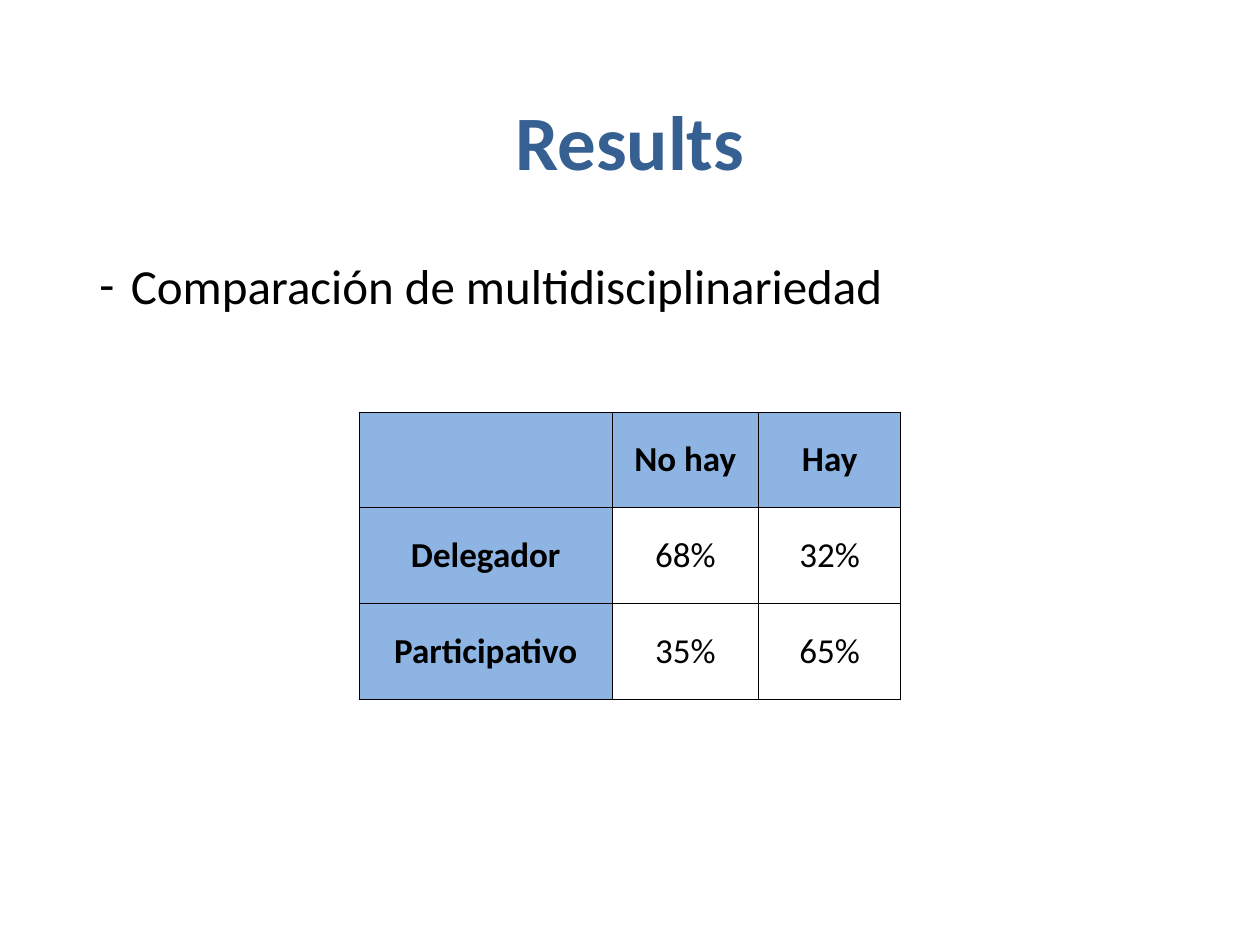
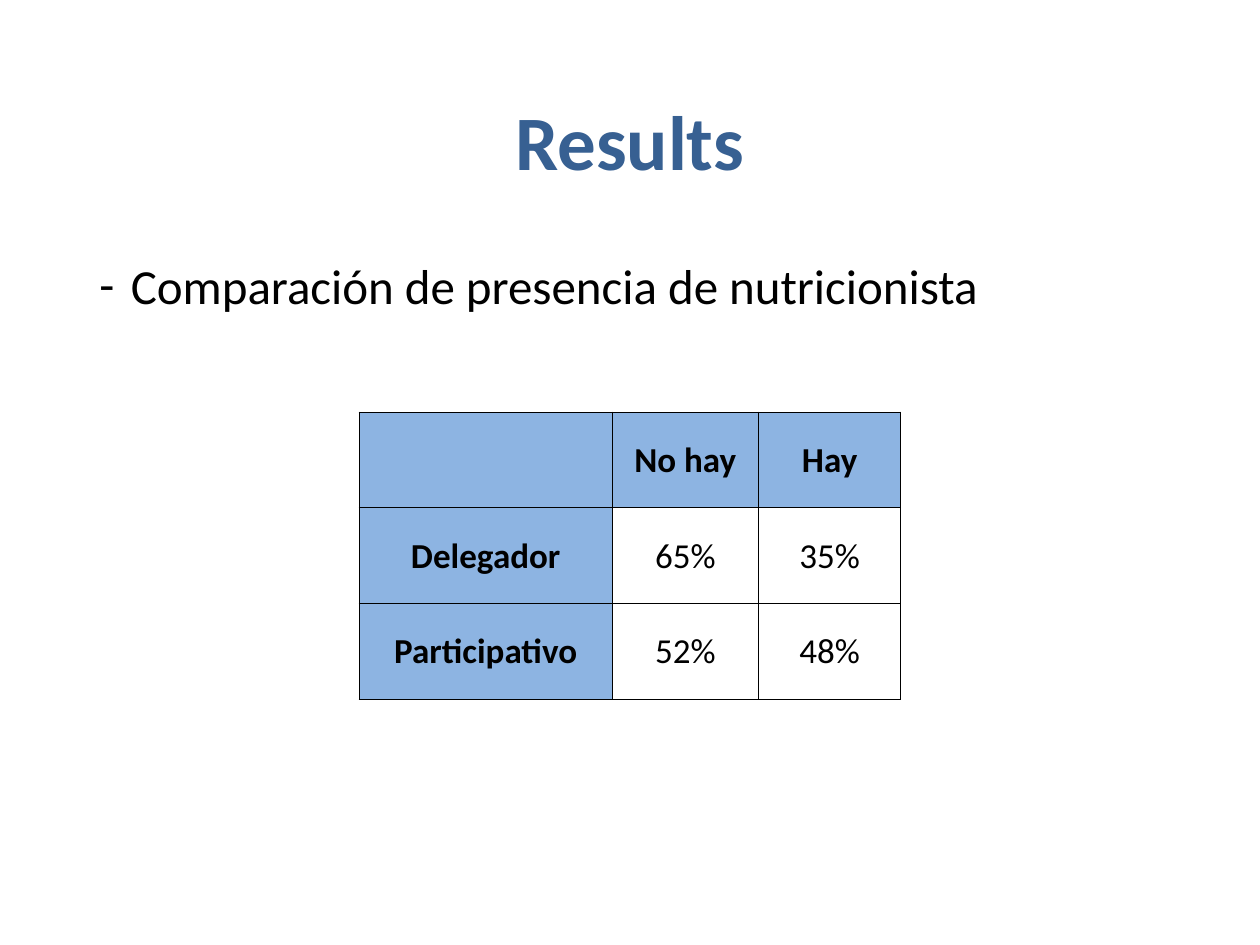
from pptx import Presentation
from pptx import util as u
from pptx.dml import color
from pptx.enum import text
from pptx.oxml import ns, xmlchemy

FONT = "Calibri"
TITLE_BLUE = "376092"
HEADER_BLUE = "8DB4E2"
BLACK = "000000"

TITLE_BOX = (0.69, 0.38, 8.62, 1.45)
BODY_BOX = (0.69, 2.03, 8.62, 4.76)
TABLE_BOX = (2.85, 3.27, 4.3, 2.28)
COLUMN_WIDTHS = (2.01, 1.16, 1.13)
HEADINGS = ("", "No hay", "Hay")

SLIDES = (
    ("Comparación de multidisciplinariedad", 0,
     (("Delegador", "68%", "32%"), ("Participativo", "35%", "65%"))),
    ("Comparación de presencia de nutricionista", 0.01,
     (("Delegador", "65%", "35%"), ("Participativo", "52%", "48%"))),
)


def rgb(value):
    return color.RGBColor.from_string(value)


def add_run(paragraph, words, size, hue=BLACK, bold=False):
    run = paragraph.add_run()
    run.text = words
    run.font.name = FONT
    run.font.size = u.Pt(size)
    run.font.bold = bold
    run.font.color.rgb = rgb(hue)


def add_text_frame(slide, box, anchor):
    frame = slide.shapes.add_textbox(*map(u.Inches, box)).text_frame
    frame.word_wrap = True
    frame.vertical_anchor = anchor
    return frame


def add_title(slide, box):
    frame = add_text_frame(slide, box, text.MSO_ANCHOR.MIDDLE)
    paragraph = frame.paragraphs[0]
    paragraph.alignment = text.PP_ALIGN.CENTER
    add_run(paragraph, "Results", 44, TITLE_BLUE, bold=True)


def add_dash_item(slide, box, words):
    frame = add_text_frame(slide, box, text.MSO_ANCHOR.TOP)
    paragraph = frame.paragraphs[0]
    paragraph.line_spacing = 0.9
    paragraph.space_before = u.Pt(10)
    properties = paragraph._p.get_or_add_pPr()
    properties.set("marL", str(u.Inches(0.25)))
    properties.set("indent", str(u.Inches(-0.25)))
    for tag, name, value in (("a:buFont", "typeface", FONT), ("a:buChar", "char", "-")):
        bullet = xmlchemy.OxmlElement(tag)
        bullet.set(name, value)
        properties.append(bullet)
    add_run(paragraph, words, 28)


def add_borders(cell):
    properties = cell._tc.get_or_add_tcPr()
    for side in ("L", "R", "T", "B"):
        line = xmlchemy.OxmlElement(f"a:ln{side}")
        line.set("w", str(u.Pt(0.5)))
        fill = xmlchemy.OxmlElement("a:solidFill")
        hue = xmlchemy.OxmlElement("a:srgbClr")
        hue.set("val", BLACK)
        fill.append(hue)
        line.append(fill)
        properties.append(line)


def style_cell(cell, words, is_header, inset):
    cell.margin_left = cell.margin_right = cell.margin_top = u.Inches(inset)
    cell.margin_bottom = 0
    cell.vertical_anchor = text.MSO_ANCHOR.MIDDLE
    add_borders(cell)
    if is_header:
        cell.fill.solid()
        cell.fill.fore_color.rgb = rgb(HEADER_BLUE)
    else:
        cell.fill.background()
    if words:
        paragraph = cell.text_frame.paragraphs[0]
        paragraph.alignment = text.PP_ALIGN.CENTER
        add_run(paragraph, words, 20, bold=is_header)


def add_comparison_table(slide, box, rows, inset):
    grid = (HEADINGS, *rows)
    frame = slide.shapes.add_table(len(grid), len(HEADINGS), *map(u.Inches, box))
    table = frame.table
    table.first_row = table.horz_banding = False
    for column, width in zip(table.columns, COLUMN_WIDTHS):
        column.width = u.Inches(width)
    for row_index, row in enumerate(grid):
        table.rows[row_index].height = u.Inches(box[3] / len(grid))
        for column_index, words in enumerate(row):
            is_header = row_index == 0 or column_index == 0
            style_cell(table.cell(row_index, column_index), words, is_header, inset)


def add_results_slide(presentation, topic, inset, rows):
    slide = presentation.slides.add_slide(presentation.slide_layouts[6])
    add_title(slide, TITLE_BOX)
    add_dash_item(slide, BODY_BOX, topic)
    add_comparison_table(slide, TABLE_BOX, rows, inset)


presentation = Presentation()
presentation.slide_width = u.Inches(10)
presentation.slide_height = u.Inches(7.5)
for topic, inset, rows in SLIDES:
    add_results_slide(presentation, topic, inset, rows)
presentation.save("out.pptx")
